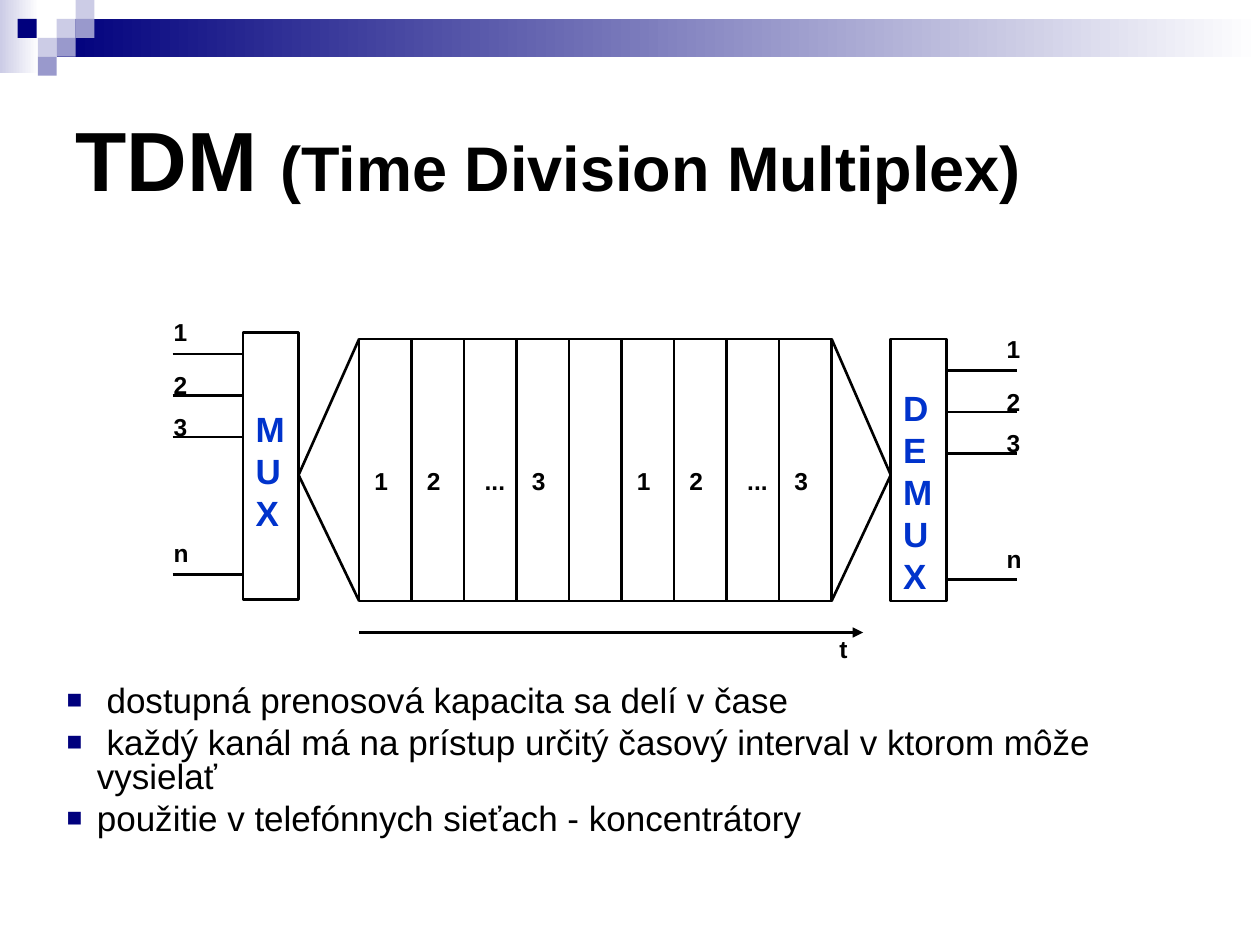
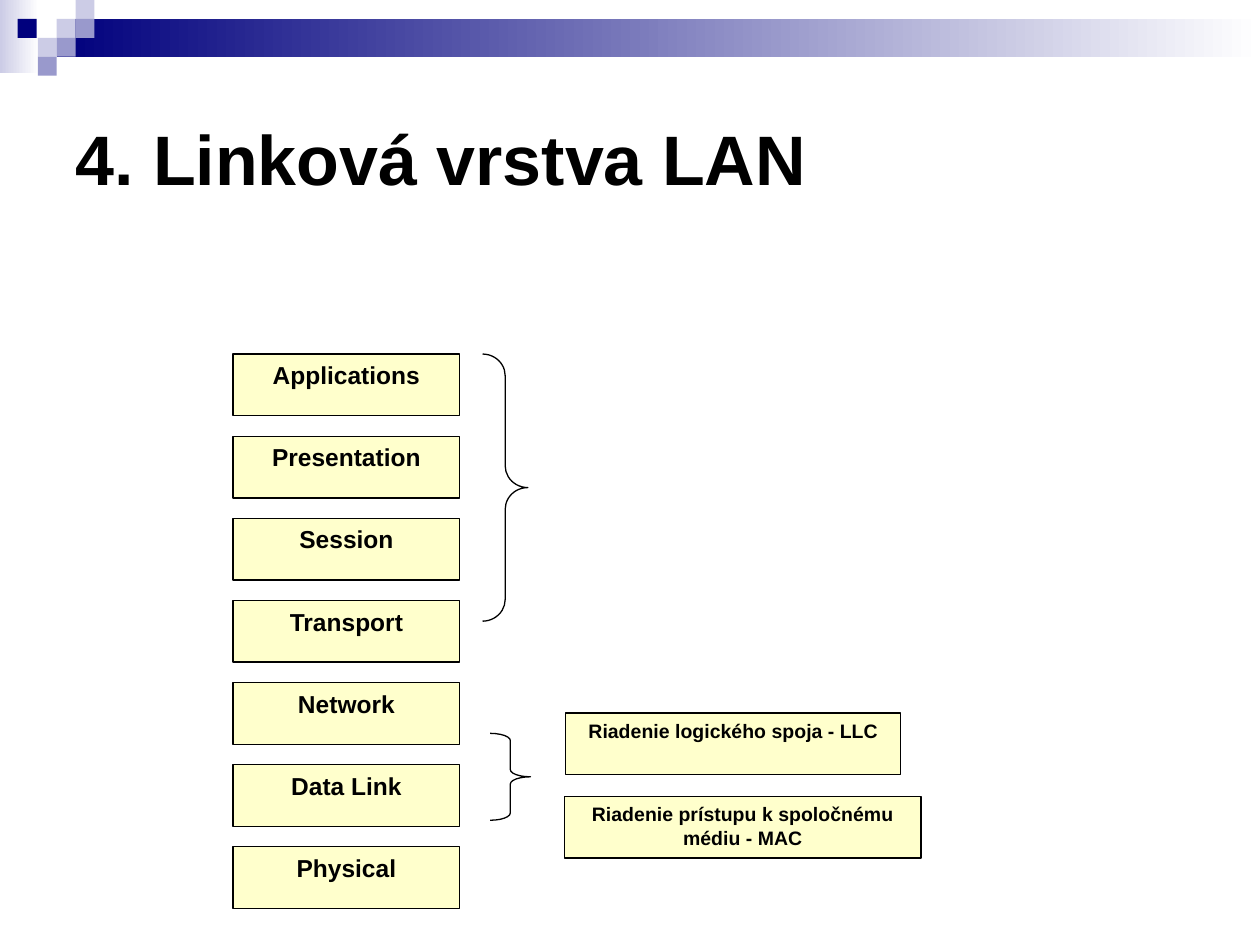
from lxml import etree
from pptx import Presentation, util as u
from pptx.dml.color import RGBColor
from pptx.enum import shapes, text
from pptx.oxml import ns

# Shared style
FONT = "Arial"
BLACK = RGBColor(0x00, 0x00, 0x00)
WHITE = RGBColor(0xFF, 0xFF, 0xFF)
NAVY = RGBColor(0x00, 0x00, 0x7D)
LILAC = RGBColor(0x99, 0x99, 0xCC)
PALE = RGBColor(0xCC, 0xCC, 0xE6)
BLUE = RGBColor(0x00, 0x33, 0xCC)
CREAM = RGBColor(0xFF, 0xFF, 0xCC)
NORMAL_INSET = (0.1, 0.05, 0.1, 0.05)
TIGHT_INSET = (0.02, 0.01, 0.02, 0.01)
RECT, BRACE = shapes.MSO_SHAPE.RECTANGLE, shapes.MSO_SHAPE.RIGHT_BRACE
CENTER = text.PP_ALIGN.CENTER

# Header: bands (box, start colour), then mosaic tiles (left, top, colour)
BANDS = [((0, 0, 0.31, 0.58), PALE), ((0.45, 0.15, 9.55, 0.3), NAVY)]
TILE = 0.15
TILES = [(0.45, 0.15, PALE), (0.6, 0, PALE), (0.6, 0.15, LILAC),
         (0.3, 0.3, PALE), (0.14, 0.15, NAVY), (0.45, 0.3, LILAC),
         (0.3, 0.45, LILAC)]

# Slide 1: time division multiplex
TDM_TITLE = [("TDM ", 48), ("(Time Division Multiplex)", 36)]
TDM_POINTS = [
    " dostupná prenosová kapacita sa delí v čase",
    " každý kanál má na prístup určitý časový interval v ktorom môže vysielať",
    "použitie v telefónnych sieťach - koncentrátory",
]
SLOTS = ["1", "2", "...", "3", "", "1", "2", "...", "3"]
SLOTS_LEFT, SLOTS_RIGHT, SLOTS_TOP, SLOTS_HEIGHT = 2.85, 6.6, 2.69, 2.08
FUNNEL_Y = 3.77
PORTS = ["1", "2", "3", "n"]
# Each end: name, box, inset above the name, port lines, port labels, funnel
ENDS = [
    dict(name="MUX", box=(1.93, 2.64, 0.44, 2.12), drop=0.59,
         line_x=(1.37, 1.93), line_y=(2.81, 3.14, 3.47, 4.56),
         label_x=1.28, label_y=(2.47, 2.89, 3.22, 4.22),
         funnel_x=(2.37, SLOTS_LEFT)),
    dict(name="DEMUX", box=(7.07, 2.69, 0.44, 2.08), drop=0.38,
         line_x=(7.51, 8.07), line_y=(2.94, 3.27, 3.6, 4.6),
         label_x=7.89, label_y=(2.6, 3.02, 3.35, 4.27),
         funnel_x=(7.07, SLOTS_RIGHT)),
]

# Slide 2: link layer of a LAN
LAN_TITLE = [("4. Linková vrstva LAN", 40)]
LAYERS = ["Applications", "Presentation", "Session", "Transport",
          "Network", "Data Link", "Physical"]
LAYER_LEFT, LAYER_TOP, LAYER_WIDTH, LAYER_HEIGHT = 1.85, 2.81, 1.8, 0.49
LAYER_PITCH = (6.72 - LAYER_TOP) / (len(LAYERS) - 1)
SUBLAYERS = [("Riadenie logického spoja - LLC", 4.49, 5.66, 2.66),
             ("Riadenie prístupu k spoločnému médiu - MAC", 4.48, 6.32, 2.83)]
BRACES = [((3.83, 2.81, 0.36, 2.12), 0.48), ((3.89, 5.82, 0.32, 0.69), 0.18)]


def inches(values):
    return [u.Inches(value) for value in values]


def add_block(slide, box, fill=None, line=None, kind=RECT):
    block = slide.shapes.add_shape(kind, *inches(box))
    block.shadow.inherit = False
    if fill is None:
        block.fill.background()
    else:
        block.fill.solid()
        block.fill.fore_color.rgb = fill
    if line is None:
        block.line.fill.background()
    else:
        block.line.color.rgb = BLACK
        block.line.width = u.Pt(line)
    return block


def add_line(slide, start, end, arrow=False):
    line = slide.shapes.add_connector(shapes.MSO_CONNECTOR.STRAIGHT,
                                      *inches(start + end))
    line.line.color.rgb = BLACK
    line.line.width = u.Pt(1.5)
    if arrow:
        etree.SubElement(line.line._get_or_add_ln(), ns.qn("a:tailEnd"),
                         type="triangle")
    etree.SubElement(line._element.spPr, ns.qn("a:effectLst"))


def add_bullet(paragraph):
    props = paragraph._p.get_or_add_pPr()
    props.set("marL", str(u.Inches(0.24)))
    props.set("indent", str(-u.Inches(0.24)))
    colour = etree.SubElement(props, ns.qn("a:buClr"))
    etree.SubElement(colour, ns.qn("a:srgbClr"), val=str(NAVY))
    etree.SubElement(props, ns.qn("a:buSzPct"), val="75000")
    etree.SubElement(props, ns.qn("a:buFont"), typeface=FONT)
    etree.SubElement(props, ns.qn("a:buChar"), char="■")


def write(holder, paragraphs, size=14, bold=True, color=BLACK, align=None,
          anchor=text.MSO_ANCHOR.TOP, inset=NORMAL_INSET, bullets=False):
    """Fill a shape; paragraphs is a string or a list of (text, size) run lists."""
    if isinstance(paragraphs, str):
        paragraphs = [[(paragraphs, size)]]
    frame = holder.text_frame
    frame.word_wrap = True
    frame.vertical_anchor = anchor
    (frame.margin_left, frame.margin_top,
     frame.margin_right, frame.margin_bottom) = inches(inset)
    for index, runs in enumerate(paragraphs):
        paragraph = frame.add_paragraph() if index else frame.paragraphs[0]
        paragraph.alignment = align or text.PP_ALIGN.LEFT
        if bullets:
            add_bullet(paragraph)
            paragraph.line_spacing = 0.8
            if index:
                paragraph.space_before = u.Pt(5)
        for words, run_size in runs:
            run = paragraph.add_run()
            run.text = words
            run.font.name = FONT
            run.font.size = u.Pt(run_size)
            run.font.bold = bold
            run.font.color.rgb = color


def add_text(slide, box, words, **style):
    write(slide.shapes.add_textbox(*inches(box)), words, **style)


def start_slide(deck, title, title_width):
    slide = deck.slides.add_slide(deck.slide_layouts[6])
    for box, colour in BANDS:
        fill = add_block(slide, box).fill
        fill.gradient()
        fill.gradient_angle = 0
        for stop, stop_colour in zip(fill.gradient_stops, (colour, WHITE)):
            stop.color.rgb = stop_colour
    for left, top, colour in TILES:
        add_block(slide, (left, top, TILE, TILE), colour)
    add_text(slide, (0.5, 0.5, title_width, 1.5), [title],
             anchor=text.MSO_ANCHOR.MIDDLE)
    return slide


def build_tdm(deck):
    slide = start_slide(deck, TDM_TITLE, 9.5)

    # Multiplexer and demultiplexer with ports and funnels
    for end in ENDS:
        write(add_block(slide, end["box"], line=1.5), end["name"], size=20,
              color=BLUE, inset=(0.1, end["drop"], 0.1, 0.05))
        x1, x2 = end["line_x"]
        for port, line_y, label_y in zip(PORTS, end["line_y"], end["label_y"]):
            add_line(slide, (x1, line_y), (x2, line_y))
            add_text(slide, (end["label_x"], label_y, 0.42, 0.33), port)
        tip_x, wide_x = end["funnel_x"]
        for wide_y in (SLOTS_TOP, SLOTS_TOP + SLOTS_HEIGHT):
            add_line(slide, (tip_x, FUNNEL_Y), (wide_x, wide_y))

    # Time slots
    slot_width = (SLOTS_RIGHT - SLOTS_LEFT) / len(SLOTS)
    for index, channel in enumerate(SLOTS):
        left = SLOTS_LEFT + index * slot_width
        add_block(slide, (left, SLOTS_TOP, slot_width, SLOTS_HEIGHT), line=1.5)
        if channel:
            width = 0.33 if channel == "..." else 0.19
            add_text(slide, (left + 0.08, 3.69, width, 0.26), channel,
                     align=CENTER, inset=TIGHT_INSET)

    # Time axis
    add_line(slide, (SLOTS_LEFT, 5.02), (6.85, 5.02), arrow=True)
    add_text(slide, (SLOTS_RIGHT, 5.02, 0.19, 0.26), "t",
             align=CENTER, inset=TIGHT_INSET)

    add_text(slide, (0.43, 5.4, 9.21, 1.31),
             [[(point, 20)] for point in TDM_POINTS], bold=False, bullets=True)


def build_lan(deck):
    slide = start_slide(deck, LAN_TITLE, 9)

    # Layer stack
    for index, layer in enumerate(LAYERS):
        top = LAYER_TOP + index * LAYER_PITCH
        box = (LAYER_LEFT, top, LAYER_WIDTH, LAYER_HEIGHT)
        write(add_block(slide, box, CREAM, 0.75), layer, align=CENTER)

    # Braces and sublayers
    for box, curl in BRACES:
        add_block(slide, box, line=0.75, kind=BRACE).adjustments[0] = curl
    for sublayer, left, top, width in SUBLAYERS:
        box = (left, top, width, LAYER_HEIGHT)
        write(add_block(slide, box, CREAM, 0.75), sublayer, size=11.1,
              align=CENTER)


def main():
    deck = Presentation()
    deck.slide_width, deck.slide_height = inches((10, 7.5))
    build_tdm(deck)
    build_lan(deck)
    deck.save("out.pptx")


if __name__ == "__main__":
    main()
